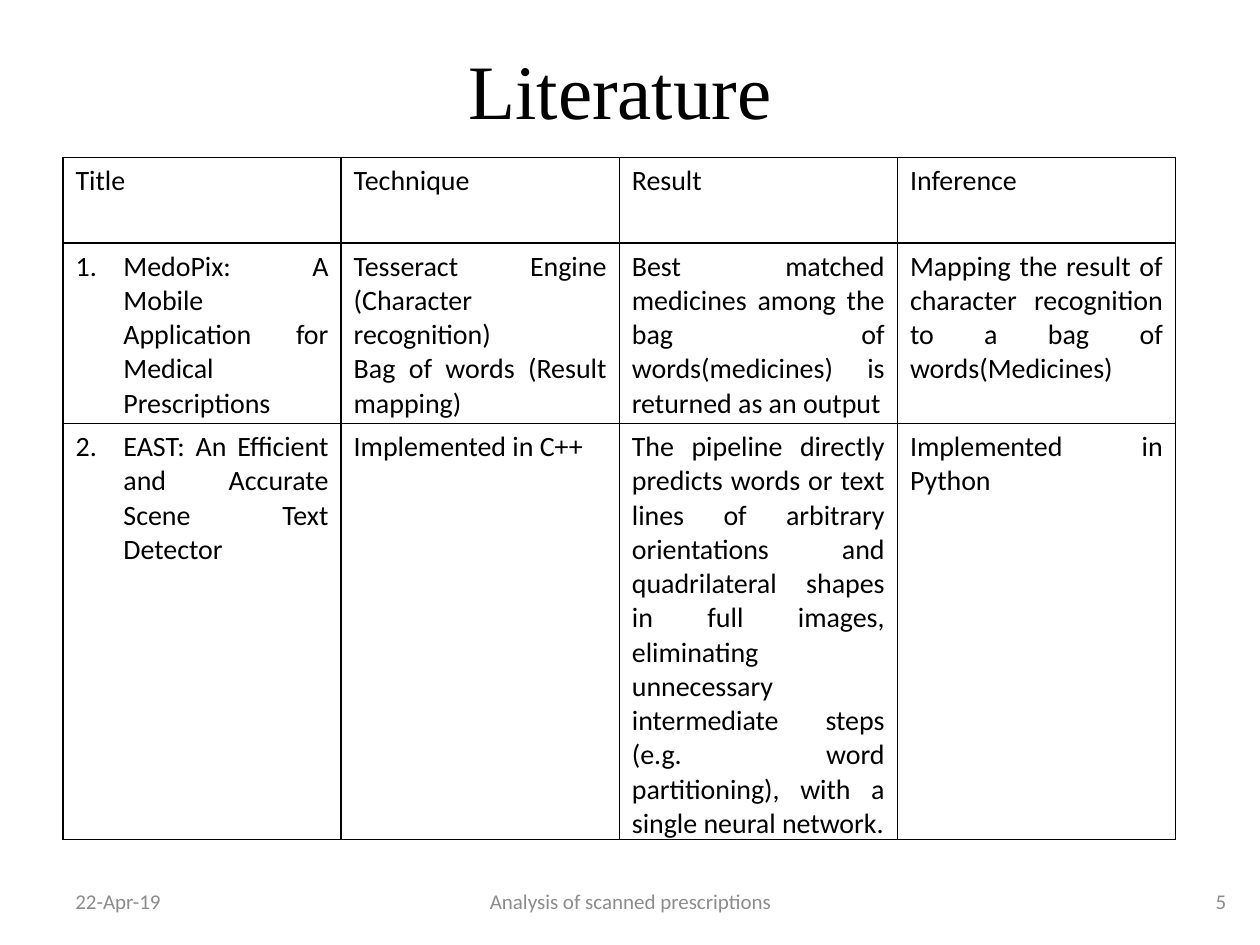
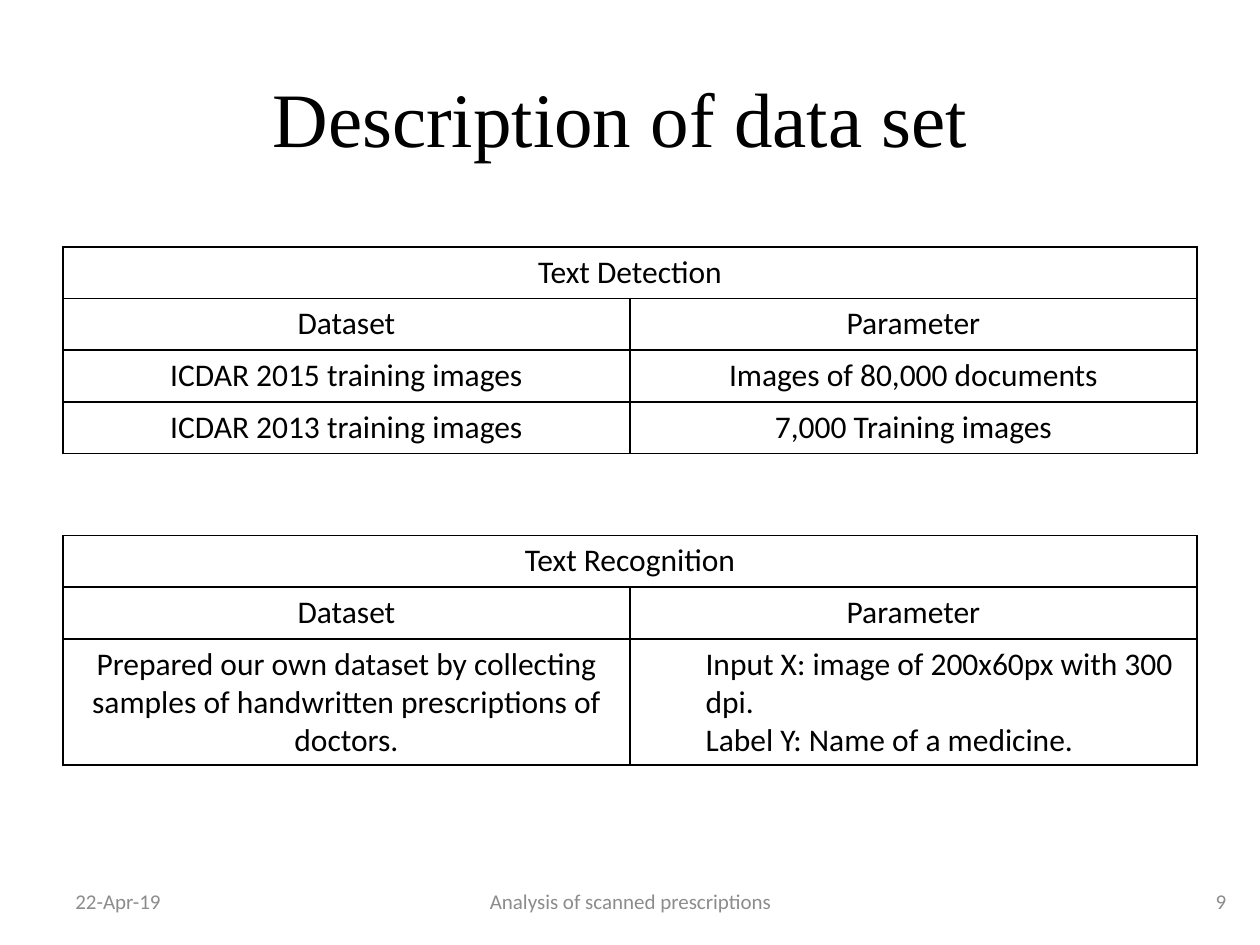
from lxml.etree import SubElement
from pptx import Presentation
from pptx.dml.color import RGBColor
from pptx.enum.text import MSO_ANCHOR, PP_ALIGN
from pptx.oxml import parse_xml
from pptx.oxml.ns import nsdecls, qn
from pptx.util import Inches, Pt

# Content
DATE = "22-Apr-19"
FOOTER = "Analysis of scanned prescriptions"

LITERATURE = [
    ["Title", "Technique", "Result", "Inference"],
    [
        {"number": 1, "text": "MedoPix: A Mobile Application for Medical Prescriptions"},
        "Tesseract Engine (Character recognition)\nBag of words (Result mapping)",
        "Best matched medicines among the bag of words(medicines) is returned as an output",
        "Mapping the result of character recognition to a bag of words(Medicines)",
    ],
    [
        {"number": 2, "text": "EAST: An Efficient and Accurate Scene Text Detector"},
        "Implemented in C++",
        "The pipeline directly predicts words or text lines of arbitrary orientations and "
        "quadrilateral shapes in full images, eliminating unnecessary intermediate steps "
        "(e.g. word partitioning), with a single neural network.",
        "Implemented in Python",
    ],
]
DETECTION = [
    ["Text Detection"],
    ["Dataset", "Parameter"],
    ["ICDAR 2015 training images", "Images of 80,000 documents"],
    ["ICDAR 2013 training images", "7,000 Training images"],
]
RECOGNITION = [
    ["Text Recognition"],
    ["Dataset", "Parameter"],
    [
        "Prepared our own dataset by collecting samples of handwritten prescriptions of doctors.",
        {"indent": 0.5, "align": PP_ALIGN.LEFT,
         "text": "Input X: image of 200x60px with 300 dpi.\nLabel Y: Name of a medicine."},
    ],
]

ROW = 0.41
SLIDES = [
    {"title": "Literature ", "title_top": 0.08, "space_before": 5.8, "number": "5",
     "tables": [{"cells": LITERATURE, "top": 1.25, "width": 8.83, "size": 16,
                 "rows": [0.68, 1.37, 2.91], "align": PP_ALIGN.JUSTIFY}]},
    {"title": "Description of data set ", "title_top": 0.3, "space_before": 0, "number": "9",
     "tables": [{"cells": DETECTION, "top": 1.96, "width": 9, "size": 18,
                 "rows": [ROW] * 4, "align": PP_ALIGN.CENTER},
                {"cells": RECOGNITION, "top": 4.25, "width": 9, "size": 18,
                 "rows": [ROW] * 3, "align": PP_ALIGN.CENTER}]},
]

# Shared style
COLORS = {"text": "000000", "border": "000000", "footer": "8C8C8C"}
TITLE_FONT, BODY_FONT = "Times New Roman", "Calibri"
MARGIN = 0.5
NUMBER_INDENT = 0.38
FOOTER_TOP, FOOTER_HEIGHT = 6.95, 0.4


def add_run(paragraph, text, size, font, color):
    run = paragraph.add_run()
    run.text = text
    run.font.size = Pt(size)
    run.font.name = font
    run.font.color.rgb = RGBColor.from_string(COLORS[color])


def add_text(slide, box, text, size, font, color, align, space_before=0):
    frame = slide.shapes.add_textbox(*map(Inches, box)).text_frame
    frame.word_wrap = True
    frame.vertical_anchor = MSO_ANCHOR.MIDDLE
    paragraph = frame.paragraphs[0]
    paragraph.alignment = align
    paragraph.space_before = Pt(space_before)
    add_run(paragraph, text, size, font, color)
    return paragraph


def set_indent(paragraph, left, first=0):
    properties = paragraph._p.get_or_add_pPr()
    properties.set("marL", str(Inches(left)))
    properties.set("indent", str(Inches(first)))
    return properties


def set_borders(cell):
    cell.fill.background()
    properties = cell._tc.get_or_add_tcPr()
    for position, side in enumerate("LRTB"):
        properties.insert(position, parse_xml(
            f'<a:ln{side} {nsdecls("a")} w="{Pt(1)}"><a:solidFill>'
            f'<a:srgbClr val="{COLORS["border"]}"/></a:solidFill></a:ln{side}>'))


def fill_cell(cell, content, size, align):
    if isinstance(content, str):
        content = {"text": content}
    for index, line in enumerate(content["text"].split("\n")):
        frame = cell.text_frame
        paragraph = frame.add_paragraph() if index else frame.paragraphs[0]
        paragraph.alignment = content.get("align", align)
        if "indent" in content:
            set_indent(paragraph, content["indent"])
        if "number" in content:
            properties = set_indent(paragraph, NUMBER_INDENT, -NUMBER_INDENT)
            SubElement(properties, qn("a:buAutoNum"), type="arabicPeriod",
                       startAt=str(content["number"]))
        add_run(paragraph, line, size, BODY_FONT, "text")


def add_grid(slide, cells, top, width, size, rows, align):
    columns = max(map(len, cells))
    box = map(Inches, (MARGIN, top, width, sum(rows)))
    table = slide.shapes.add_table(len(rows), columns, *box).table
    table.first_row = table.horz_banding = False
    for column in table.columns:
        column.width = Inches(width / columns)
    for row, height in zip(table.rows, rows):
        row.height = Inches(height)
    for cell in table.iter_cells():
        set_borders(cell)
    for row_index, contents in enumerate(cells):
        # A row with a single entry spans the whole table
        if len(contents) < columns:
            table.cell(row_index, 0).merge(table.cell(row_index, columns - 1))
        for column_index, content in enumerate(contents):
            fill_cell(table.cell(row_index, column_index), content, size, align)


def add_footer(slide, number):
    for left, width, text, align in (
        (MARGIN, 2.33, DATE, PP_ALIGN.LEFT),
        (3.42, 3.17, FOOTER, PP_ALIGN.CENTER),
        (7.5, 2.33, number, PP_ALIGN.RIGHT),
    ):
        add_text(slide, (left, FOOTER_TOP, width, FOOTER_HEIGHT), text, 12,
                 BODY_FONT, "footer", align)


def main():
    presentation = Presentation()
    presentation.slide_width, presentation.slide_height = Inches(10), Inches(7.5)
    for page in SLIDES:
        slide = presentation.slides.add_slide(presentation.slide_layouts[6])
        add_text(slide, (MARGIN, page["title_top"], 9, 1.25), page["title"], 44,
                 TITLE_FONT, "text", PP_ALIGN.CENTER, page["space_before"])
        add_footer(slide, page["number"])
        for table in page["tables"]:
            add_grid(slide, **table)
    presentation.save("out.pptx")


if __name__ == "__main__":
    main()
